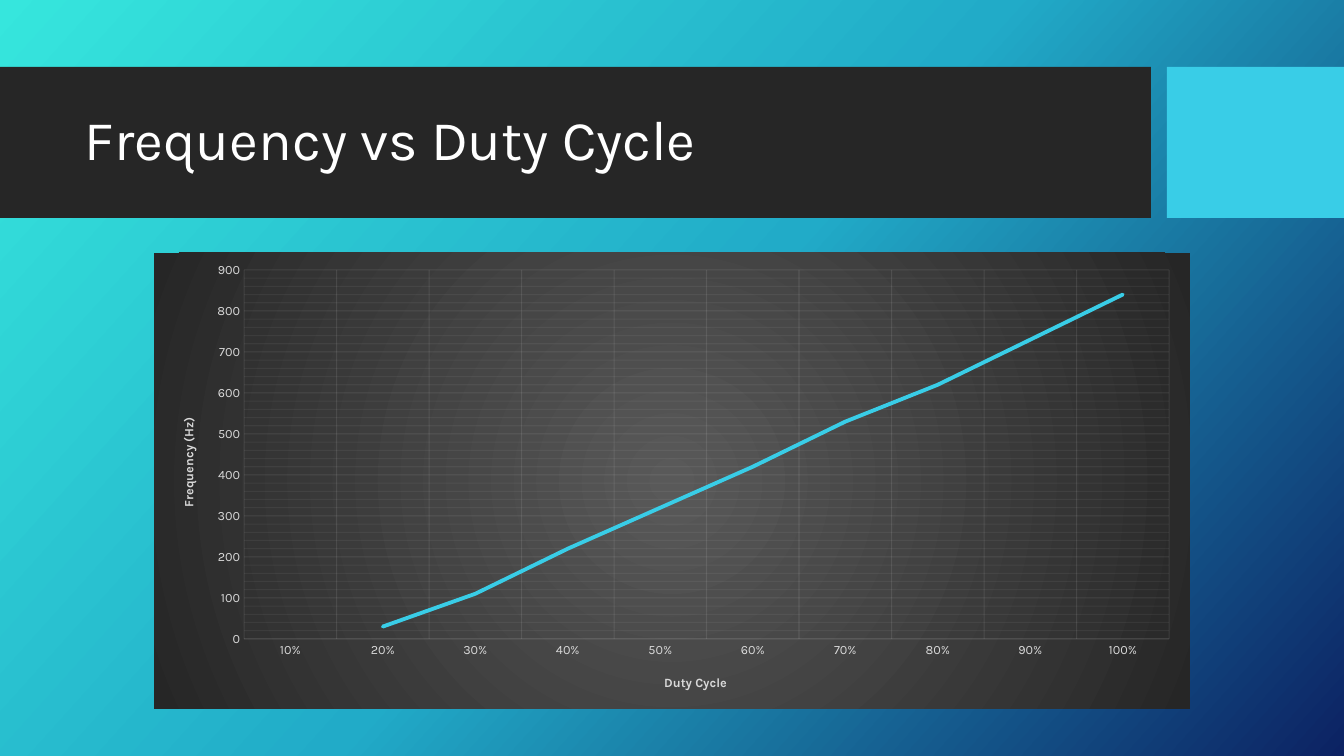
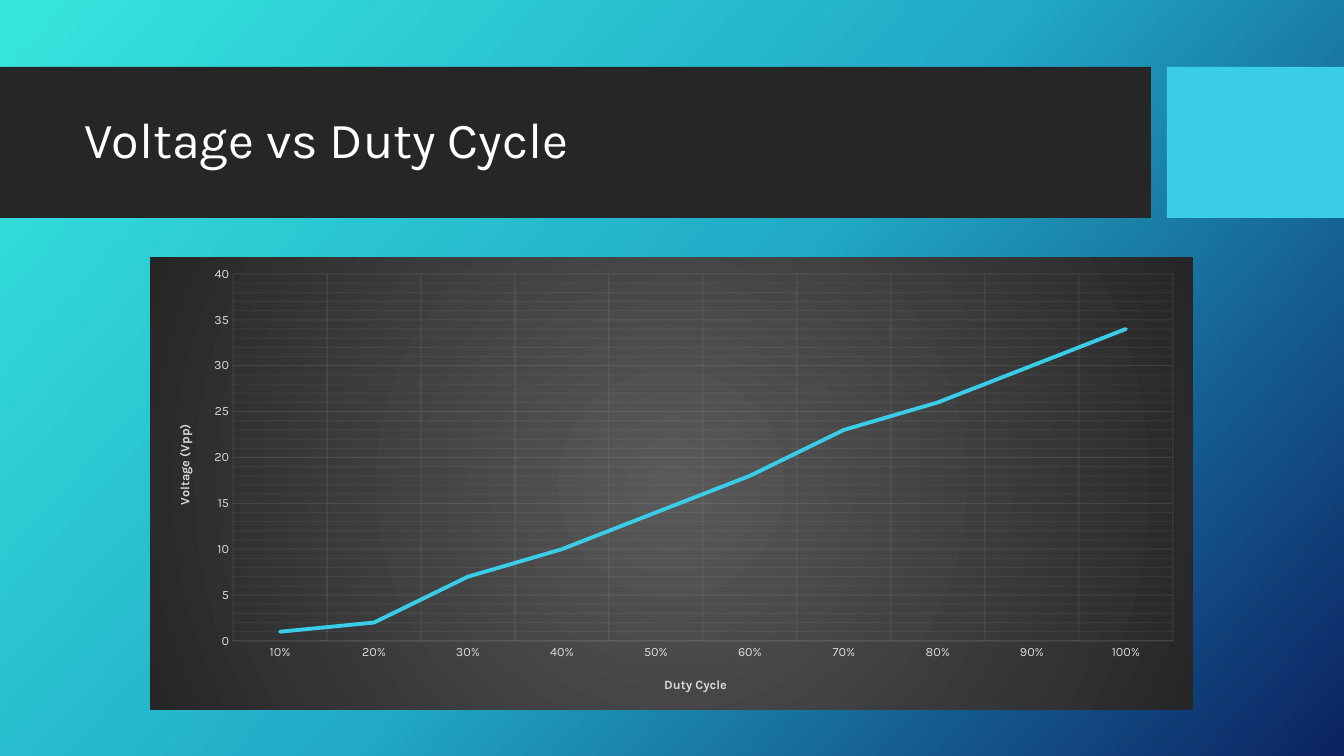
"""Build two slides, each with a title band and a line chart against duty cycle."""
import pptx
import pptx.chart.data
import pptx.dml.color
import pptx.enum.chart
import pptx.enum.shapes
import pptx.enum.text
import pptx.oxml
import pptx.oxml.ns
import pptx.util

SCALE = 914400 / 100.8
SLIDE_SIZE = (1344, 756)
TITLE_BOX = (75, 83, 1059, 119)
DUTY_CYCLES = [step / 10 for step in range(1, 11)]

THEME = {
    "dark": "262626",
    "accent": "39CDE7",
    "grid": "F2F2F2",
    "grid_alpha": {"major": 10, "minor": 5},
    "grid_width": 0.75,
    "series_width": 2.75,
    "background": [(0, "36E6DD"), (50, "21ABC8"), (100, "0C2263")],
    "chart_fill": [(0, "595959"), (100, "262626")],
    "title": {"name": "Karla", "color": "FFFFFF"},
    "chart": {"name": "Karla", "size": 10, "color": "FFFFFF"},
    "tick": {"name": "Karla", "size": 9, "color": "D9D9D9", "bold": False},
    "axis_title": {"name": "Karla", "size": 9, "color": "D9D9D9", "bold": True},
}

BANDS = [
    ((0, 67, 1151, 151), THEME["dark"]),
    ((1167, 67, 177, 151), THEME["accent"]),
]

SLIDES = [
    {
        "title": "Frequency vs Duty Cycle",
        "title_size": 40,
        "box": (154, 253, 1036, 456),
        "plot": (244, 270, 925, 369),
        "x_title": ("Duty Cycle", (662, 672)),
        "y_title": ("Frequency (Hz)", (178, 415)),
        "scale": {"minimum_scale": 0, "maximum_scale": 900, "major_unit": 100, "minor_unit": 20},
        "values": [None, 30, 110, 220, 320, 420, 530, 620, 730, 840],
    },
    {
        "title": "Voltage vs Duty Cycle",
        "title_size": 36,
        "box": (150, 257, 1043, 453),
        "plot": (233, 274, 940, 367),
        "x_title": ("Duty Cycle", (662, 674)),
        "y_title": ("Voltage (Vpp)", (174, 422)),
        "scale": {"minimum_scale": 0, "maximum_scale": 40, "major_unit": 5, "minor_unit": 1},
        "values": [1, 2, 7, 10, 14, 18, 23, 26, 30, 34],
    },
]

qn = pptx.oxml.ns.qn


def px(*lengths):
    return [pptx.util.Emu(round(n * SCALE)) for n in lengths]


def rgb(value):
    return pptx.dml.color.RGBColor.from_string(value)


def xml(tag, inner):
    return pptx.oxml.parse_xml(f"<{tag} {pptx.oxml.ns.nsdecls('a', 'c')}>{inner}</{tag}>")


def set_all(target, values):
    for name, value in values.items():
        setattr(target, name, value)


def set_font(font, fmt):
    for name, value in fmt.items():
        if name == "color":
            font.color.rgb = rgb(value)
        else:
            setattr(font, name, pptx.util.Pt(value) if name == "size" else value)


def gradient(stops, direction):
    marks = "".join(
        f'<a:gs pos="{pos * 1000}"><a:srgbClr val="{color}"/></a:gs>' for pos, color in stops
    )
    return xml("a:gradFill", f"<a:gsLst>{marks}</a:gsLst>{direction}")


def set_layout(parent, box, frame, target=""):
    left, top, width, height = frame
    x, y, *size = box
    parts = [("x", (x - left) / width), ("y", (y - top) / height)]
    if size:
        parts += [("w", size[0] / width), ("h", size[1] / height)]
    modes = '<c:xMode val="edge"/><c:yMode val="edge"/>'
    values = "".join(f'<c:{name} val="{value:.4f}"/>' for name, value in parts)
    for old in parent.findall(qn("c:layout")):
        parent.remove(old)
    index = 0 if parent.find(qn("c:tx")) is None else 1
    inner = f"<c:manualLayout>{target}{modes}{values}</c:manualLayout>"
    parent.insert(index, xml("c:layout", inner))


def add_axis_title(axis, title, frame, rotation):
    text, spot = title
    tf = axis.axis_title.text_frame
    tf.text = text
    set_font(tf.paragraphs[0].runs[0].font, THEME["axis_title"])
    body = axis.axis_title.element.find(".//" + qn("a:bodyPr"))
    body.set("rot", str(rotation * 60000))
    body.set("vert", "horz")
    set_layout(axis.axis_title.element, spot, frame)


def style_grid(chart):
    width = pptx.util.Pt(THEME["grid_width"])
    for kind, alpha in THEME["grid_alpha"].items():
        for grid in chart.element.iter(qn(f"c:{kind}Gridlines")):
            color = f'<a:srgbClr val="{THEME["grid"]}"><a:alpha val="{alpha * 1000}"/></a:srgbClr>'
            line = f'<a:ln w="{width}"><a:solidFill>{color}</a:solidFill></a:ln>'
            grid.append(xml("c:spPr", line))


def style_axes(chart, content):
    x_axis, y_axis = chart.category_axis, chart.value_axis
    none = pptx.enum.chart.XL_TICK_MARK.NONE
    axes = [(x_axis, "x_title", "0%", 0), (y_axis, "y_title", "General", -90)]
    for axis, key, number_format, rotation in axes:
        set_all(axis, {"major_tick_mark": none, "minor_tick_mark": none,
                       "has_major_gridlines": True})
        set_all(axis.tick_labels, {"number_format": number_format,
                                   "number_format_is_linked": False})
        set_font(axis.tick_labels.font, THEME["tick"])
        add_axis_title(axis, content[key], content["box"], rotation)
    set_all(y_axis, content["scale"] | {"has_minor_gridlines": True})
    y_axis.format.line.fill.background()
    x_axis.format.line.width = pptx.util.Pt(THEME["grid_width"])
    x_axis.format.line.color.rgb = rgb(THEME["grid"])
    alpha = THEME["grid_alpha"]["major"] * 1000
    for color in chart.element.iter(qn("a:srgbClr")):
        if color.get("val") == THEME["grid"]:
            color.append(xml("a:alpha", ""))
            color[-1].set("val", str(alpha))
    style_grid(chart)


def add_line_chart(slide, content):
    data = pptx.chart.data.CategoryChartData()
    data.categories = DUTY_CYCLES
    data.categories.number_format = "0%"
    data.add_series("Series 1", content["values"])
    kind = pptx.enum.chart.XL_CHART_TYPE.LINE
    chart = slide.shapes.add_chart(kind, *px(*content["box"]), data).chart
    set_all(chart, {"has_title": False, "has_legend": False})
    set_font(chart.font, THEME["chart"])
    plot = chart.plots[0]
    plot.vary_by_categories = False
    series = plot.series[0]
    series.smooth = False
    series.format.line.width = pptx.util.Pt(THEME["series_width"])
    series.format.line.color.rgb = rgb(THEME["accent"])
    for line in chart.element.iter(qn("a:ln")):
        line.set("cap", "rnd")
    style_axes(chart, content)
    area = chart.element.find(".//" + qn("c:plotArea"))
    set_layout(area, content["plot"], content["box"], '<c:layoutTarget val="inner"/>')
    center = ('<a:path path="circle">'
              '<a:fillToRect l="50000" t="50000" r="50000" b="50000"/></a:path>')
    backdrop = xml("c:spPr", "<a:ln><a:noFill/></a:ln>")
    backdrop.insert(0, gradient(THEME["chart_fill"], center))
    chart.element.find(qn("c:chart")).addnext(backdrop)


def add_frame(slide):
    slide.background.fill.solid()
    fill = slide.element.find(".//" + qn("p:bgPr")).find(qn("a:solidFill"))
    angle = f'<a:lin ang="{42 * 60000}" scaled="0"/>'
    fill.getparent().replace(fill, gradient(THEME["background"], angle))
    for box, color in BANDS:
        sp = slide.shapes.add_shape(pptx.enum.shapes.MSO_SHAPE.RECTANGLE, *px(*box))
        sp.shadow.inherit = False
        sp.fill.solid()
        sp.fill.fore_color.rgb = rgb(color)
        sp.line.fill.background()


def add_title(slide, text, size):
    tf = slide.shapes.add_textbox(*px(*TITLE_BOX)).text_frame
    set_all(tf, {"word_wrap": True, "vertical_anchor": pptx.enum.text.MSO_ANCHOR.MIDDLE})
    p = tf.paragraphs[0]
    p.line_spacing = 0.9
    r = p.add_run()
    r.text = text
    set_font(r.font, THEME["title"] | {"size": size})


def main():
    prs = pptx.Presentation()
    prs.slide_width, prs.slide_height = px(*SLIDE_SIZE)
    for content in SLIDES:
        slide = prs.slides.add_slide(prs.slide_layouts[6])
        add_frame(slide)
        add_title(slide, content["title"], content["title_size"])
        add_line_chart(slide, content)
    prs.save("out.pptx")


if __name__ == "__main__":
    main()
